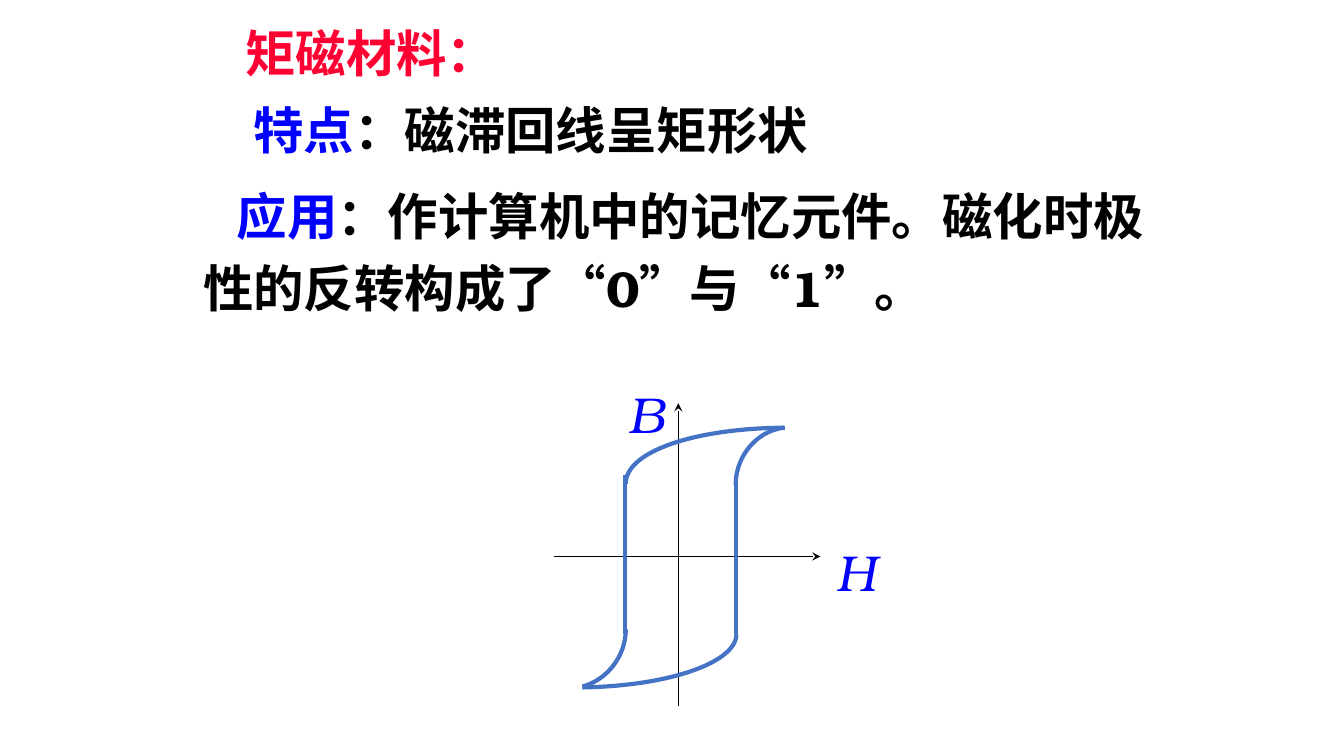
import pptx
import pptx.util
import pptx.dml.color
import pptx.enum.shapes
import pptx.enum.text
import pptx.oxml
import pptx.oxml.ns

Pt = pptx.util.Pt
RED = pptx.dml.color.RGBColor(0xFF, 0x00, 0x33)
BLUE = pptx.dml.color.RGBColor(0x00, 0x00, 0xFF)
BLACK = pptx.dml.color.RGBColor(0x00, 0x00, 0x00)
LOOP_BLUE = pptx.dml.color.RGBColor(0x44, 0x72, 0xC4)
STEPS = 32

presentation = pptx.Presentation()
presentation.slide_width, presentation.slide_height = Pt(960), Pt(540)
slide = presentation.slides.add_slide(presentation.slide_layouts[5])


def write_text(box, bounds, paragraphs, font_format, wrap=False):
    """Place the box and fill it; each paragraph is a list of (text, colour)."""
    box.left, box.top, box.width, box.height = [Pt(v) for v in bounds]
    frame = box.text_frame
    frame_format = {
        "word_wrap": wrap,
        "auto_size": pptx.enum.text.MSO_AUTO_SIZE.SHAPE_TO_FIT_TEXT,
        "vertical_anchor": pptx.enum.text.MSO_ANCHOR.TOP,
    }
    for name, value in frame_format.items():
        setattr(frame, name, value)
    for index, pieces in enumerate(paragraphs):
        paragraph = frame.add_paragraph() if index else frame.paragraphs[0]
        paragraph.alignment = pptx.enum.text.PP_ALIGN.LEFT
        for text, colour in pieces:
            run = paragraph.add_run()
            run.text = text
            for name, value in font_format.items():
                setattr(run.font, name, value)
            run.font.color.rgb = colour
    return frame


def draw_line(x1, y1, x2, y2, colour, width, arrow_end=None):
    line = slide.shapes.add_connector(
        pptx.enum.shapes.MSO_CONNECTOR.STRAIGHT, Pt(x1), Pt(y1), Pt(x2), Pt(y2))
    line.line.color.rgb = colour
    line.line.width = Pt(width)
    if arrow_end:
        arrow = pptx.oxml.parse_xml(
            f'<a:{arrow_end} {pptx.oxml.ns.nsdecls("a")} type="stealth"/>')
        line.line._get_or_add_ln().append(arrow)
    line._element.spPr.append(
        pptx.oxml.parse_xml(f'<a:effectLst {pptx.oxml.ns.nsdecls("a")}/>'))


# Text
font = {"name": "TeX Gyre Bonum", "size": Pt(36)}
heading_font = {**font, "bold": True}
symbol_font = {**font, "italic": True}

write_text(slide.shapes.title, (168, 12, 197, 51), [[("矩磁材料：", RED)]], heading_font)

feature = slide.shapes.add_textbox(0, 0, 0, 0)
write_text(feature, (174, 67, 415.5, 51),
           [[("特点", BLUE), ("：磁滞回线呈矩形状", BLACK)]], heading_font)

application = slide.shapes.add_textbox(0, 0, 0, 0)
application_text = write_text(
    application, (138, 120, 708, 107),
    [[("应用", BLUE), ("：作计算机中的记忆元件。磁化时极", BLACK)],
     [("性的反转构成了“0”与“1”。", BLACK)]],
    heading_font, wrap=True)
for paragraph in application_text.paragraphs:
    paragraph.line_spacing = 1.2
first_line = application_text.paragraphs[0]._p.get_or_add_pPr()
first_line.set("marL", "0")
first_line.set("indent", str(Pt(24)))

# Axes
draw_line(396, 397.5, 586, 397.5, BLACK, 1, "tailEnd")
draw_line(484.5, 288, 484.5, 504, BLACK, 1, "headEnd")

# Hysteresis loop: start, two control points and end of each curved part
loop_curves = [
    [(447, 345.5), (447, 322.5), (496, 306), (560.5, 305.5)],
    [(525.5, 346.5), (525.5, 325.5), (541, 307.5), (560.5, 305.5)],
    [(447, 449.5), (447, 468.5), (434, 485.5), (416, 490.5)],
    [(526, 453), (526, 473), (478.5, 490), (416, 491)],
]
for curve in loop_curves:
    points = []
    for step in range(STEPS + 1):
        t = step / STEPS
        weights = ((1 - t) ** 3, 3 * t * (1 - t) ** 2, 3 * t ** 2 * (1 - t), t ** 3)
        points.append(tuple(
            Pt(sum(w * value for w, value in zip(weights, axis))) for axis in zip(*curve)))
    builder = slide.shapes.build_freeform(*points[0])
    builder.add_line_segments(points[1:], close=False)
    branch = builder.convert_to_shape()
    branch.shadow.inherit = False
    branch.fill.background()
    branch.line.color.rgb = LOOP_BLUE
    branch.line.width = Pt(3)

draw_line(446.5, 339, 446.5, 453, LOOP_BLUE, 3)
draw_line(525.5, 453, 525.5, 342.5, LOOP_BLUE, 3)

# Axis symbols
for symbol, bounds in [("B", (442, 270, 40, 50.5)), ("H", (590.5, 383, 43, 50.5))]:
    axis_symbol = slide.shapes.add_textbox(0, 0, 0, 0)
    write_text(axis_symbol, bounds, [[(symbol, BLUE)]], symbol_font)

presentation.save("out.pptx")
